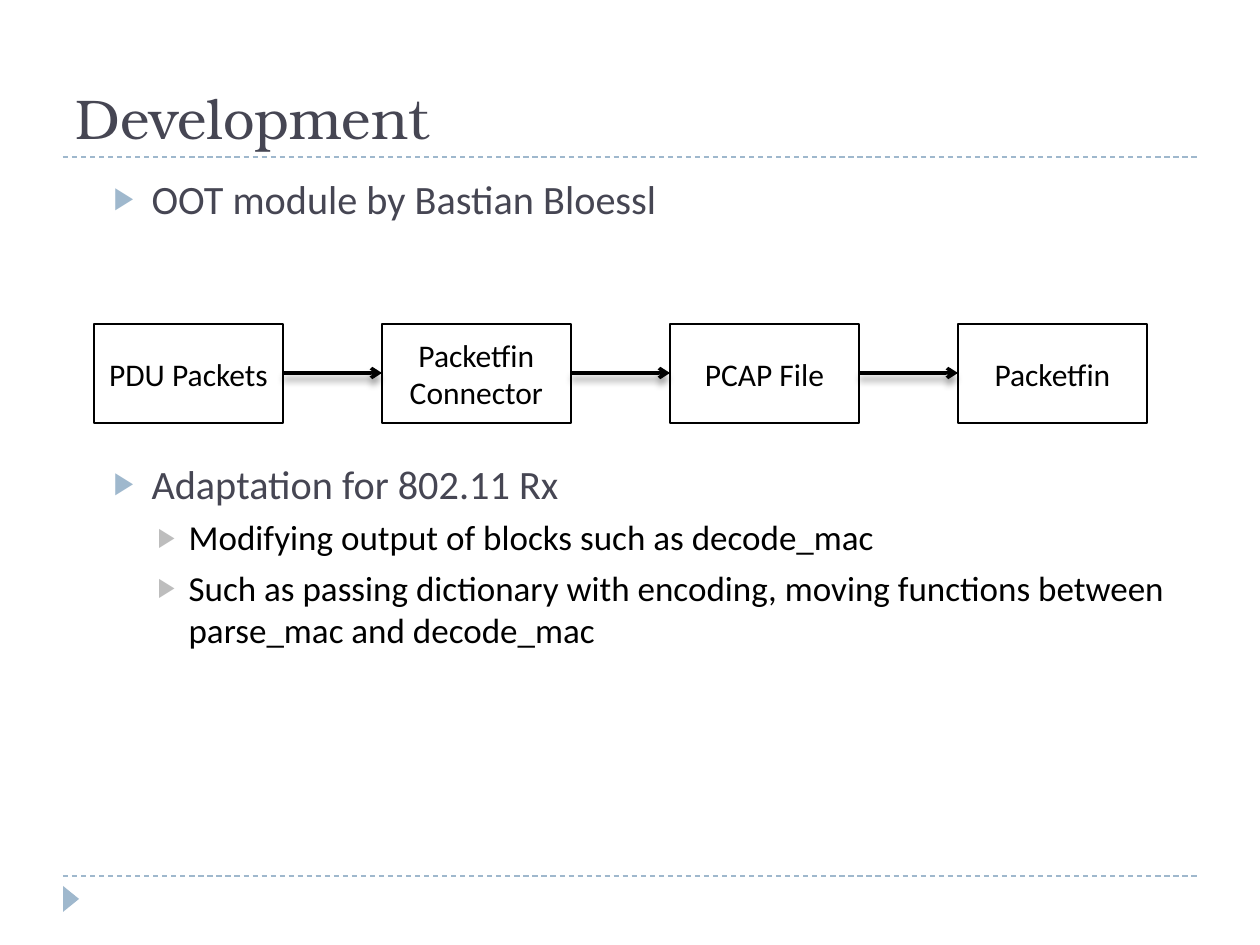
import pptx
import pptx.util
import pptx.dml.color
import pptx.enum.dml
import pptx.enum.shapes
import pptx.enum.text
import pptx.oxml
import pptx.oxml.ns

PX = 914400 // 126
COLORS = {"ink": "464653", "accent": "9FB8CD", "muted": "BDBDBD",
          "black": "000000", "white": "FFFFFF"}
SERIF, SANS = "TeX Gyre Bonum", "Calibri"
NS = pptx.oxml.ns.nsdecls("a")
ARROW_SHADOW = (
    f'<a:effectLst {NS}><a:outerShdw blurRad="50800" dist="43180" dir="5400000" rotWithShape="0">'
    '<a:srgbClr val="000000"><a:alpha val="40000"/></a:srgbClr></a:outerShdw></a:effectLst>')
# level: left margin px, hanging px, size pt, text colour, bullet colour
LEVELS = {1: (76, 38, 23, "ink", "accent"), 2: (113, 31, 20, "black", "muted")}


def rgb(name):
    """Return the named colour."""
    return pptx.dml.color.RGBColor.from_string(COLORS[name])


def px(*lengths):
    """Turn pixel lengths into EMU."""
    return [pptx.util.Emu(n * PX) for n in lengths]


class Deck:
    """Style and current slide."""

    def __init__(self, prs):
        self.s = prs.slides.add_slide(prs.slide_layouts[1])

    def style(self, p, size, color, font=SANS):
        """Format every run of a paragraph."""
        for r in p.runs:
            r.font.size = pptx.util.Pt(size)
            r.font.name = font
            r.font.color.rgb = rgb(color)

    def place(self, sp, box, anchor):
        """Move a placeholder and set its text anchor."""
        sp.left, sp.top, sp.width, sp.height = px(*box)
        tf = sp.text_frame
        tf.auto_size = pptx.enum.text.MSO_AUTO_SIZE.NONE
        tf.vertical_anchor = anchor
        return tf

    def title(self, text, box):
        """Fill the title placeholder."""
        tf = self.place(self.s.shapes.title, box, pptx.enum.text.MSO_ANCHOR.BOTTOM)
        tf.text = text
        tf.paragraphs[0].alignment = pptx.enum.text.PP_ALIGN.LEFT
        self.style(tf.paragraphs[0], 32, "ink", SERIF)

    def bullets(self, items, box):
        """Fill the body placeholder with (level, space before, text) items."""
        tf = self.place(self.s.placeholders[1], box, pptx.enum.text.MSO_ANCHOR.TOP)
        tf.text = "\n".join(text for _, _, text in items)
        for p, (level, before, _) in zip(tf.paragraphs, items):
            margin, hang, size, color, mark = LEVELS[level]
            p.level = level
            p.space_before = pptx.util.Pt(before)
            self.style(p, size, color)
            pPr = p._p.get_or_add_pPr()
            pPr.set("marL", str(margin * PX))
            pPr.set("indent", str(-hang * PX))
            for xml in (f'<a:buClr {NS}><a:srgbClr val="{COLORS[mark]}"/></a:buClr>',
                        f'<a:buSzPct {NS} val="76000"/>',
                        f'<a:buChar {NS} char="\u25b6"/>'):
                pPr.append(pptx.oxml.parse_xml(xml))

    def shape(self, kind, box, fill, line=None):
        """Add a filled preset shape."""
        sp = self.s.shapes.add_shape(kind, *px(*box))
        sp.shadow.inherit = False
        sp.fill.solid()
        sp.fill.fore_color.rgb = rgb(fill)
        if line:
            sp.line.color.rgb = rgb(line)
            sp.line.width = pptx.util.Pt(1.5)
        else:
            sp.line.fill.background()
        return sp

    def block(self, text, box):
        """Add a labelled diagram box."""
        sp = self.shape(pptx.enum.shapes.MSO_SHAPE.RECTANGLE, box, "white", "black")
        tf = sp.text_frame
        tf.text = text
        tf.word_wrap = True
        tf.vertical_anchor = pptx.enum.text.MSO_ANCHOR.MIDDLE
        for p in tf.paragraphs:
            p.alignment = pptx.enum.text.PP_ALIGN.CENTER
            self.style(p, 18, "black")

    def line(self, x1, x2, y, color, width, effects=f"<a:effectLst {NS}/>"):
        """Add a horizontal line."""
        sp = self.s.shapes.add_connector(
            pptx.enum.shapes.MSO_CONNECTOR.STRAIGHT, *px(x1, y, x2, y))
        sp.line.color.rgb = rgb(color)
        sp.line.width = pptx.util.Pt(width)
        sp._element.spPr.append(pptx.oxml.parse_xml(effects))
        return sp

    def rule(self, y):
        """Add a dashed rule across the slide."""
        sp = self.line(63, 1197, y, "accent", 0.75)
        sp.line.dash_style = pptx.enum.dml.MSO_LINE.DASH

    def arrow(self, x1, x2, y):
        """Add a shadowed arrow pointing right."""
        sp = self.line(x1, x2, y, "black", 2, ARROW_SHADOW)
        sp.line._get_or_add_ln().append(
            pptx.oxml.parse_xml(f'<a:tailEnd {NS} type="arrow"/>'))


def main():
    """Build the slide."""
    prs = pptx.Presentation()
    prs.slide_width, prs.slide_height = px(1260, 945)
    deck = Deck(prs)
    for y in (876, 157):
        deck.rule(y)
    marker = deck.shape(pptx.enum.shapes.MSO_SHAPE.ISOSCELES_TRIANGLE,
                        (58, 891, 26, 16), "accent")
    marker.rotation = 90

    deck.title("Development", (63, 21, 1134, 136))
    deck.bullets([
        (1, 5, "OOT module by Bastian Bloessl"),
        (1, 135, "Adaptation for 802.11 Rx"),
        (2, 5, "Modifying output of blocks such as decode_mac"),
        (2, 5, "Such as passing dictionary with encoding, moving functions "
               "between parse_mac and decode_mac"),
    ], (63, 168, 1134, 680))

    left, top, width, height, pitch = 94, 324, 189, 99, 288
    stages = ["PDU Packets", "Packetfin\nConnector", "PCAP File", "Packetfin"]
    for i, text in enumerate(stages):
        x = left + i * pitch
        deck.block(text, (x, top, width, height))
        if i:
            deck.arrow(x - pitch + width, x, top + height // 2)
    prs.save("out.pptx")


main()
